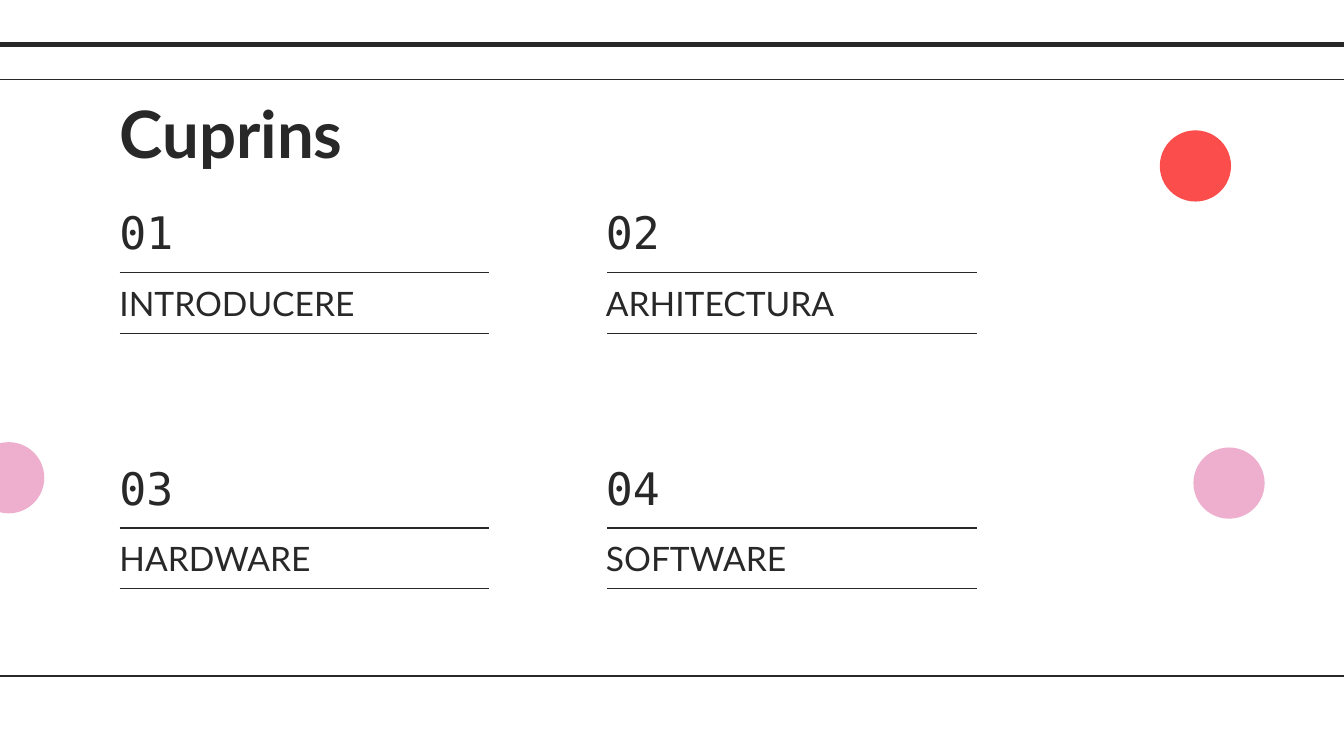
from dataclasses import dataclass

from lxml import etree
from pptx import Presentation
from pptx import util as u
from pptx.dml.color import RGBColor
from pptx.enum import shapes, text
from pptx.oxml.ns import qn


@dataclass(frozen=True)
class Theme:
    ink: str = "282828"
    pink: str = "EEAECE"
    red: str = "FA4D4C"
    sans: str = "Lato"
    mono: str = "DejaVu Sans Mono"
    title_size: int = 35
    number_size: int = 24
    topic_size: int = 18
    thin: float = 0.75
    thick: float = 3


THEME = Theme()
WIDTH = 10
HEIGHT = WIDTH * 9 / 16
DOT_SIZE = 0.53


def add_rule(slide, left, top, width, weight=THEME.thin):
    """Draw a horizontal line."""
    rule = slide.shapes.add_connector(
        shapes.MSO_CONNECTOR.STRAIGHT,
        u.Inches(left), u.Inches(top), u.Inches(left + width), u.Inches(top))
    rule.line.color.rgb = RGBColor.from_string(THEME.ink)
    rule.line.width = u.Pt(weight)
    etree.SubElement(rule._element.spPr, qn("a:effectLst"))


def add_dot(slide, left, top, color):
    dot = slide.shapes.add_shape(
        shapes.MSO_SHAPE.OVAL,
        u.Inches(left), u.Inches(top), u.Inches(DOT_SIZE), u.Inches(DOT_SIZE))
    dot.shadow.inherit = False
    dot.fill.solid()
    dot.fill.fore_color.rgb = RGBColor.from_string(color)
    dot.line.fill.background()


def add_label(slide, box, wording, size, font, bold=False,
              anchor=text.MSO_ANCHOR.MIDDLE):
    label = slide.shapes.add_textbox(*map(u.Inches, box))
    frame = label.text_frame
    frame.word_wrap = True
    frame.vertical_anchor = anchor
    frame.margin_left = frame.margin_right = u.Inches(0.1)
    frame.margin_top = frame.margin_bottom = u.Inches(0.1)
    paragraph = frame.paragraphs[0]
    paragraph.text = wording
    paragraph.font.size = u.Pt(size)
    paragraph.font.name = font
    paragraph.font.bold = bold
    paragraph.font.color.rgb = RGBColor.from_string(THEME.ink)


def add_frame(slide, width):
    """Full-width rules and the coloured dots."""
    add_rule(slide, 0, 0.33, width, THEME.thick)
    for top in (0.59, 5.03):
        add_rule(slide, 0, top, width)
    add_dot(slide, -0.2, 3.29, THEME.pink)
    add_dot(slide, 8.88, 3.33, THEME.pink)
    add_dot(slide, 8.63, 0.97, THEME.red)


def add_chapter(slide, left, top, width, rule_inset, number, topic):
    """A number above a topic that sits between two rules."""
    topic_top, topic_height = top + 0.57, 0.45
    add_label(slide, (left, top, 1.1, 0.53), number,
              THEME.number_size, THEME.mono)
    add_label(slide, (left, topic_top, width, topic_height), topic,
              THEME.topic_size, THEME.sans)
    for rule_top in (topic_top, topic_top + topic_height):
        add_rule(slide, left + rule_inset, rule_top, 2.75)


def add_contents(slide, topics):
    """Chapters in a two-column grid, filled row by row."""
    columns = ((0.79, 2.95, 0.1), (4.41, 2.98, 0.11))  # left, width, rule inset
    first_top, row_pitch = 1.46, 1.9
    for index, topic in enumerate(topics):
        row, column = divmod(index, len(columns))
        left, width, rule_inset = columns[column]
        add_chapter(slide, left, first_top + row * row_pitch, width,
                    rule_inset, f"{index + 1:02}", topic)


def main():
    deck = Presentation()
    deck.slide_width, deck.slide_height = u.Inches(WIDTH), u.Inches(HEIGHT)
    slide = deck.slides.add_slide(deck.slide_layouts[6])

    add_frame(slide, WIDTH)
    add_label(slide, (0.79, 0.59, 8.43, 0.63), "Cuprins", THEME.title_size,
              THEME.sans, bold=True, anchor=text.MSO_ANCHOR.TOP)
    add_contents(slide, ("INTRODUCERE", "ARHITECTURA", "HARDWARE", "SOFTWARE"))

    deck.save("out.pptx")


if __name__ == "__main__":
    main()
